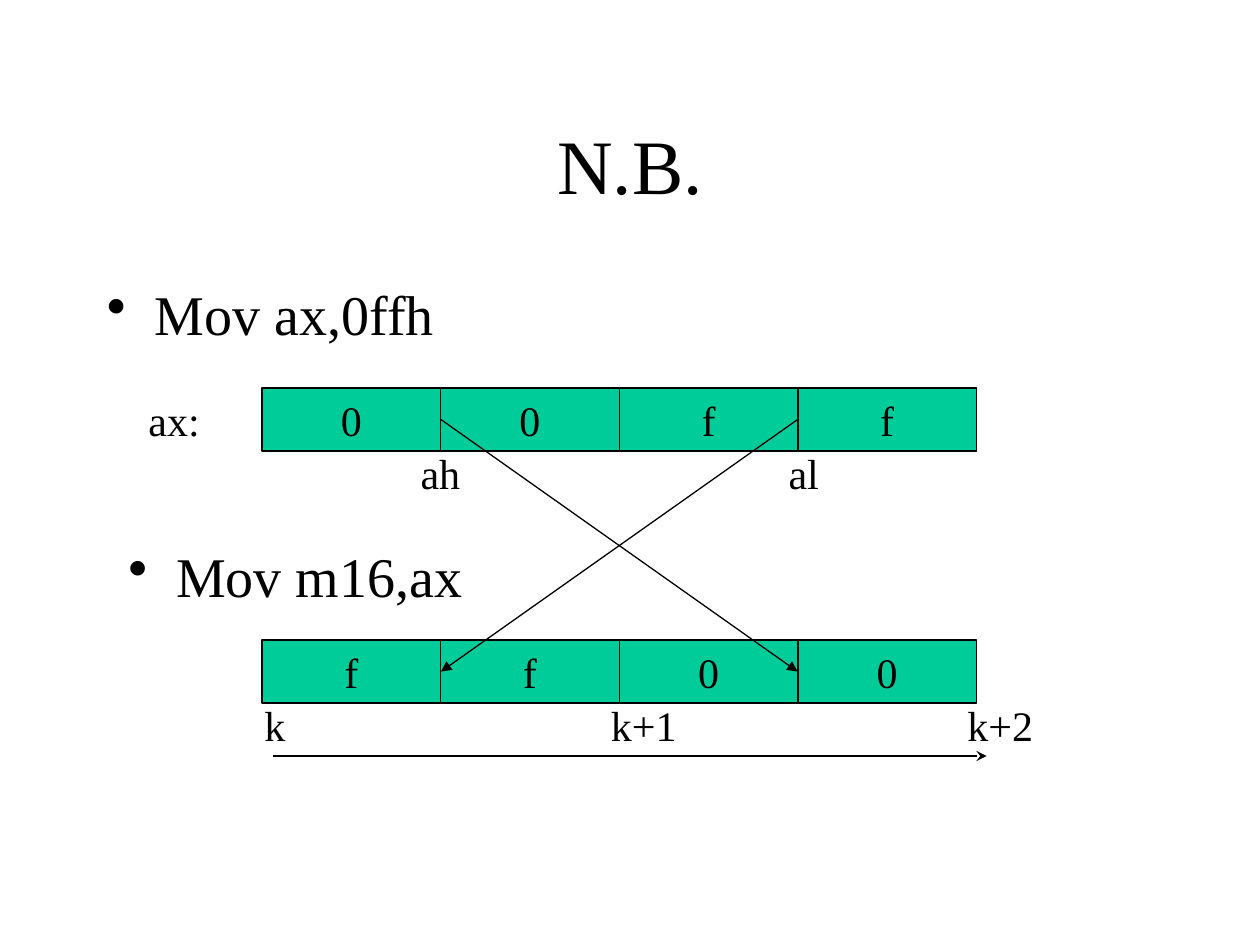
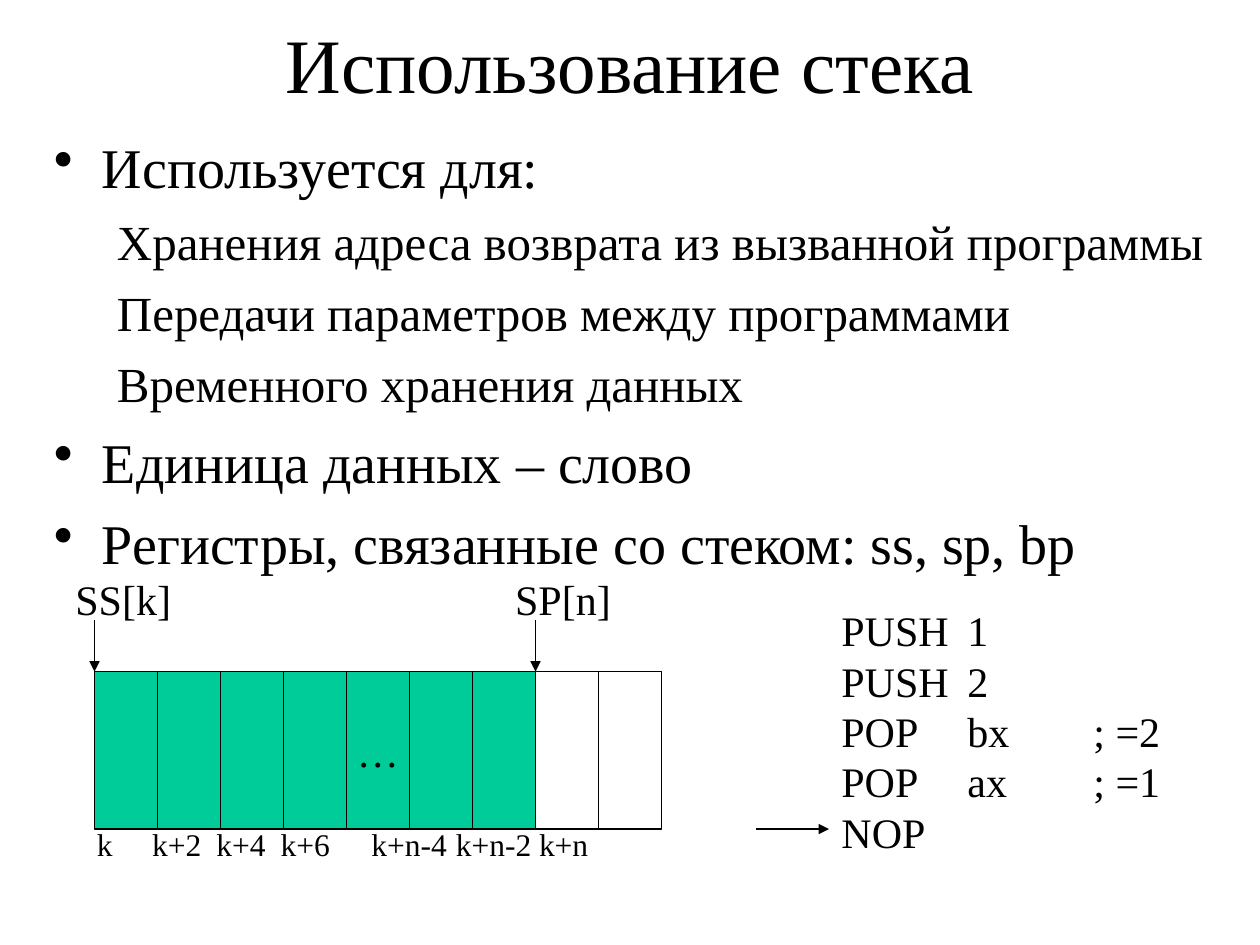
"""Two lecture slides on byte order and the stack."""
from dataclasses import dataclass
from typing import Optional

import pptx
import pptx.dml.color
import pptx.enum.shapes
import pptx.enum.text
import pptx.oxml
import pptx.oxml.ns
import pptx.util
from pptx.util import Inches

BLACK = pptx.dml.color.RGBColor(0x00, 0x00, 0x00)
WHITE = pptx.dml.color.RGBColor(0xFF, 0xFF, 0xFF)
GREEN = pptx.dml.color.RGBColor(0x00, 0xCC, 0x99)
FONT = "Times New Roman"
THIN = pptx.util.Pt(0.75)
NS = pptx.oxml.ns.nsdecls("a")
ALIGN = pptx.enum.text.PP_ALIGN
MIDDLE = pptx.enum.text.MSO_ANCHOR.MIDDLE
FIT = pptx.enum.text.MSO_AUTO_SIZE.SHAPE_TO_FIT_TEXT


@dataclass
class Box:
    """A place on the slide, in inches."""
    x: float
    y: float
    w: float
    h: float

    def spans(self) -> tuple:
        """Give the place as lengths."""
        return tuple(Inches(n) for n in (self.x, self.y, self.w, self.h))


@dataclass
class Level:
    """The look of one outline level."""
    size: float
    left: float
    hang: float
    gap: float
    mark: Optional[str] = None


@dataclass
class Label:
    """Lines of text whose parts sit on tab stops."""
    box: Box
    lines: list
    stops: tuple = ()
    size: float = 24


@dataclass
class Arrow:
    """A line with a head at its end."""
    start: tuple
    end: tuple
    head: str = "triangle"


@dataclass
class Row:
    """Equal cells side by side; the first few are filled."""
    box: Box
    texts: list
    full: int


TOP = Level(32, 0.38, -0.38, 8.2, "\u2022")
SUB = Level(28, 0.81, -0.31, 7)


def write(para, text: str, size: float) -> None:
    """Add one run in the deck's font."""
    run = para.add_run()
    run.text = text
    run.font.name = FONT
    run.font.size = pptx.util.Pt(size)
    run.font.color.rgb = BLACK


def frame(slide, box: Box):
    """Add a wrapping text box and return its frame."""
    text = slide.shapes.add_textbox(*box.spans()).text_frame
    text.word_wrap = True
    return text


def add_title(slide, box: Box, text: str) -> None:
    """Add the centred slide title."""
    area = frame(slide, box)
    area.vertical_anchor = MIDDLE
    para = area.paragraphs[0]
    para.alignment = ALIGN.CENTER
    write(para, text, 44)


def add_list(slide, box: Box, items: list) -> None:
    """Add an outline of (level, text) items."""
    area = frame(slide, box)
    for i, (level, text) in enumerate(items):
        para = area.add_paragraph() if i else area.paragraphs[0]
        if i:
            para.space_before = pptx.util.Pt(level.gap)
        props = para._p.get_or_add_pPr()
        props.set("marL", str(Inches(level.left)))
        props.set("indent", str(Inches(level.hang)))
        mark = f'buChar {NS} char="{level.mark}"' if level.mark else f"buNone {NS}"
        props.append(pptx.oxml.parse_xml(f"<a:{mark}/>"))
        write(para, text, level.size)


def add_label(slide, label: Label) -> None:
    """Add text that is spread over tab stops."""
    area = frame(slide, label.box)
    area.auto_size = FIT
    para = area.paragraphs[0]
    tabs = "".join(f'<a:tab pos="{Inches(s)}" algn="l"/>' for s in label.stops)
    if tabs:
        para._p.get_or_add_pPr().append(
            pptx.oxml.parse_xml(f"<a:tabLst {NS}>{tabs}</a:tabLst>"))
    for i, line in enumerate(label.lines):
        if i:
            para.add_line_break()
        write(para, line, label.size)


def add_row(slide, row: Row) -> None:
    """Draw a row of memory cells."""
    wide = row.box.w / len(row.texts)
    for i, text in enumerate(row.texts):
        place = Box(row.box.x + i * wide, row.box.y, wide, row.box.h)
        cell = slide.shapes.add_shape(
            pptx.enum.shapes.MSO_SHAPE.RECTANGLE, *place.spans())
        cell.shadow.inherit = False
        cell.fill.solid()
        cell.fill.fore_color.rgb = GREEN if i < row.full else WHITE
        cell.line.color.rgb = BLACK
        cell.line.width = THIN
        if text:
            area = cell.text_frame
            area.word_wrap = False
            area.vertical_anchor = MIDDLE
            area.paragraphs[0].alignment = ALIGN.CENTER
            write(area.paragraphs[0], text, 24)


def add_arrow(slide, arrow: Arrow) -> None:
    """Draw a straight arrow."""
    ends = [Inches(n) for n in arrow.start + arrow.end]
    line = slide.shapes.add_connector(
        pptx.enum.shapes.MSO_CONNECTOR.STRAIGHT, *ends)
    line.line.color.rgb = BLACK
    line.line.width = THIN
    line.line._get_or_add_ln().append(
        pptx.oxml.parse_xml(f'<a:tailEnd {NS} type="{arrow.head}"/>'))
    line._element.spPr.append(pptx.oxml.parse_xml(f"<a:effectLst {NS}/>"))


def draw_bytes(slide) -> None:
    """Show how a register's bytes swap in memory."""
    add_title(slide, Box(0.75, 0.67, 8.5, 1.25), "N.B.")
    add_list(slide, Box(0.75, 2.17, 8.5, 2), [(TOP, "Mov ax,0ffh")])
    add_row(slide, Row(Box(2.08, 3.08, 5.67, 0.5), list("00ff"), 4))
    add_label(slide, Label(Box(1.08, 3.08, 0.83, 0.5), ["ax:"]))
    add_list(slide, Box(0.92, 4.25, 8.5, 2), [(TOP, "Mov m16,ax")])
    add_row(slide, Row(Box(2.08, 5.08, 5.67, 0.5), list("ff00"), 4))
    add_label(slide, Label(Box(2, 5.5, 6.5, 0.5), ["k\tk+1\tk+2"], (2.75, 5.58)))
    add_arrow(slide, Arrow((2.17, 6), (7.83, 6), "stealth"))
    add_label(slide, Label(Box(2.17, 3.5, 5.67, 0.5), ["\tah\tal"], (1.07, 3.99)))
    for start, end in ((3.5, 6.33), (6.33, 3.5)):
        add_arrow(slide, Arrow((start, 3.33), (end, 5.33)))


def draw_stack(slide) -> None:
    """Show what the stack is for and how it is laid out."""
    add_title(slide, Box(0.75, 0.25, 8.5, 0.5), "Использование стека")
    add_list(slide, Box(0.33, 1, 9.42, 3.75), [
        (TOP, "Используется для:"),
        (SUB, "Хранения адреса возврата из вызванной программы"),
        (SUB, "Передачи параметров между программами"),
        (SUB, "Временного хранения данных"),
        (TOP, "Единица данных – слово"),
        (TOP, "Регистры, связанные со стеком: ss, sp, bp"),
    ])
    cells = [""] * 9
    cells[4] = "…"
    add_row(slide, Row(Box(0.75, 5.33, 4.5, 1.25), cells, 7))
    add_label(slide, Label(
        Box(0.67, 6.5, 4.83, 0.4), ["k\tk+2\tk+4\tk+6\tk+n-4\tk+n-2\tk+n"],
        (0.44, 0.95, 1.46, 2.18, 2.85, 3.51), 18))
    add_label(slide, Label(Box(0.5, 4.5, 5.08, 0.5), ["SS[k]\tSP[n]"], (3.49,)))
    for x in (0.75, 4.25):
        add_arrow(slide, Arrow((x, 4.92), (x, 5.33)))
    add_label(slide, Label(
        Box(6.58, 4.75, 3.17, 2.1),
        ["PUSH\t1", "PUSH\t2", "POP\tbx\t; =2", "POP\tax\t; =1", "NOP"], (1, 2)))
    add_arrow(slide, Arrow((6, 6.58), (6.58, 6.58)))


def main() -> None:
    """Build and save the deck."""
    deck = pptx.Presentation()
    deck.slide_width, deck.slide_height = Inches(10), Inches(7.5)
    for draw in (draw_bytes, draw_stack):
        slide = deck.slides.add_slide(deck.slide_layouts[6])
        slide.background.fill.solid()
        slide.background.fill.fore_color.rgb = WHITE
        draw(slide)
    deck.save("out.pptx")


main()
